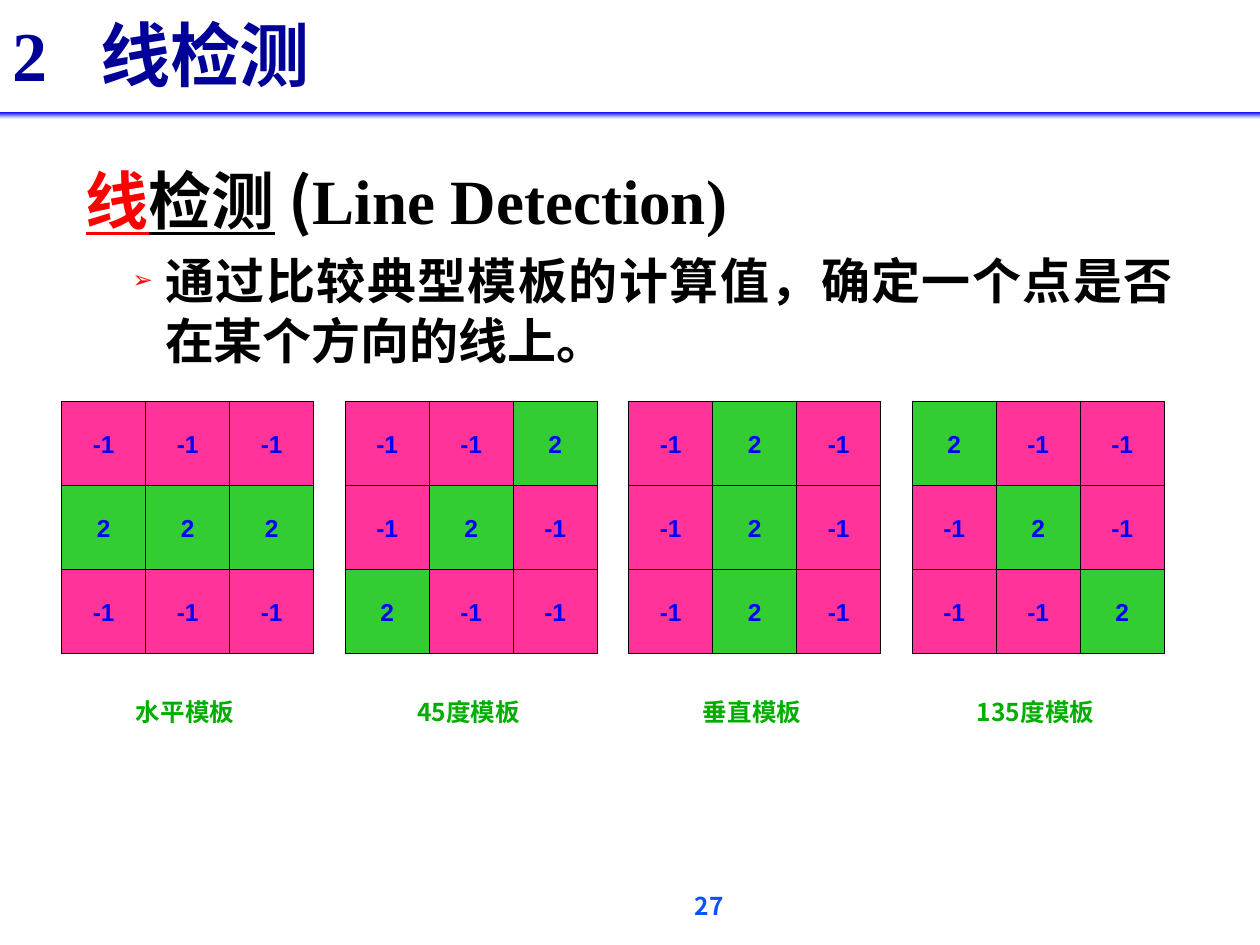
from copy import deepcopy
from dataclasses import dataclass

from lxml.etree import SubElement
from pptx import Presentation
from pptx.dml.color import RGBColor
from pptx.enum.shapes import MSO_SHAPE
from pptx.enum.text import MSO_ANCHOR, MSO_AUTO_SIZE, PP_ALIGN
from pptx.oxml.ns import qn
from pptx.util import Pt


@dataclass(frozen=True)
class Theme:
    navy: str = "000099"
    black: str = "000000"
    red: str = "FF0000"
    bullet: str = "FF0C0C"
    blue: str = "0000FF"
    page_blue: str = "0B52FC"
    pink: str = "FF3399"
    green: str = "33CC33"
    caption_green: str = "00AE00"
    rule_stops: tuple = ((0, "0000FF"), (0.89, "CCD6FF"), (1, "E6EBFF"))
    title_size: int = 40
    heading_size: int = 36
    body_size: int = 28
    label_size: int = 14
    cjk: str = "Noto Sans CJK SC"
    serif: str = "Times New Roman"
    sans: str = "Arial"


THEME = Theme()

CELL = 48
GRID_LEFT, GRID_TOP, GRID_PITCH = 35.28, 229.5, 162
CAPTION_TOP, CAPTION_WIDTH, CAPTION_HEIGHT = 395, 110, 36
CAPTION_CENTER = 70.5

# Each mask: caption and the (row, column) cells that hold the weight 2
MASKS = [
    ("水平模板", {(1, column) for column in range(3)}),
    ("45度模板", {(row, 2 - row) for row in range(3)}),
    ("垂直模板", {(row, 1) for row in range(3)}),
    ("135度模板", {(row, row) for row in range(3)}),
]


def add_text(paragraph, text, size=THEME.label_size, color=THEME.black,
             face=THEME.cjk, underline=False):
    """Append a bold run, with the face used for Latin and CJK letters alike."""
    run = paragraph.add_run()
    run.text = text
    font = run.font
    font.size, font.bold, font.underline = Pt(size), True, underline
    font.color.rgb = RGBColor.from_string(color)
    font.name = face
    SubElement(run._r.get_or_add_rPr(), qn("a:ea"), typeface=face)


def place(shape, left, top, width, height):
    shape.left, shape.top = Pt(left), Pt(top)
    shape.width, shape.height = Pt(width), Pt(height)
    shape.text_frame.auto_size = MSO_AUTO_SIZE.NONE


def set_indent(paragraph, left, first_line, bullet=None):
    properties = paragraph._p.get_or_add_pPr()
    properties.set("marL", str(Pt(left)))
    properties.set("indent", str(Pt(first_line)))
    if bullet is None:
        SubElement(properties, qn("a:buNone"))
        return
    color = SubElement(properties, qn("a:buClr"))
    SubElement(color, qn("a:srgbClr"), val=THEME.bullet)
    SubElement(properties, qn("a:buSzPct"), val="50000")
    SubElement(properties, qn("a:buFont"), typeface=THEME.sans)
    SubElement(properties, qn("a:buChar"), char=bullet)


def fill_title(title):
    place(title, 0, 5, 720, 50.4)
    frame = title.text_frame
    frame.vertical_anchor = MSO_ANCHOR.BOTTOM
    frame.margin_bottom = Pt(0.5)
    paragraph = frame.paragraphs[0]
    paragraph.alignment = PP_ALIGN.LEFT
    paragraph.line_spacing = Pt(44)
    tabs = SubElement(paragraph._p.get_or_add_pPr(), qn("a:tabLst"))
    SubElement(tabs, qn("a:tab"), pos=str(Pt(50)), algn="l")
    add_text(paragraph, "2\t", size=THEME.title_size, color=THEME.navy,
             face=THEME.serif)
    add_text(paragraph, "线检测", size=THEME.title_size, color=THEME.navy)


def fill_body(body):
    place(body, 41.76, 85.68, 635.76, 131.76)
    frame = body.text_frame
    heading, point = frame.paragraphs[0], frame.add_paragraph()

    set_indent(heading, 18, -18)
    heading.space_before = Pt(0)
    heading.line_spacing = Pt(46)
    size = THEME.heading_size
    add_text(heading, "线", size=size, color=THEME.red, underline=True)
    add_text(heading, "检测", size=size, underline=True)
    add_text(heading, " (", size=size)
    add_text(heading, "Line Detection)", size=size, face=THEME.serif)

    point.level = 1
    set_indent(point, 45.36, -18.72, bullet="➢")
    point.space_before = Pt(7.5)
    point.line_spacing = Pt(34)
    add_text(point, "通过比较典型模板的计算值，确定一个点是否在某个方向的线上。",
             size=THEME.body_size)
    for paragraph in (heading, point):
        paragraph.alignment = PP_ALIGN.JUSTIFY


def add_title_rule(shapes):
    rule = shapes.add_shape(MSO_SHAPE.RECTANGLE, 0, Pt(64), Pt(720), Pt(3.6))
    rule.shadow.inherit = False
    rule.line.fill.background()
    rule.fill.gradient()
    rule.fill.gradient_angle = 270
    stop_list = rule._element.spPr.find(".//" + qn("a:gsLst"))
    stop_list.append(deepcopy(stop_list[-1]))
    for stop, (position, color) in zip(rule.fill.gradient_stops,
                                       THEME.rule_stops):
        stop.position = position
        stop.color.rgb = RGBColor.from_string(color)


def add_label(shapes, text, left, top, width, height, wrap=False,
              line_spacing=1.0, **text_format):
    label = shapes.add_textbox(Pt(left), Pt(top), Pt(width), Pt(height))
    label.text_frame.word_wrap = wrap
    paragraph = label.text_frame.paragraphs[0]
    paragraph.alignment = PP_ALIGN.CENTER
    paragraph.line_spacing = line_spacing
    add_text(paragraph, text, **text_format)


def add_cell(shapes, weight, left, top):
    cell = shapes.add_shape(MSO_SHAPE.RECTANGLE, Pt(left), Pt(top),
                            Pt(CELL), Pt(CELL))
    cell.shadow.inherit = False
    cell.fill.solid()
    cell.fill.fore_color.rgb = RGBColor.from_string(
        THEME.green if weight > 0 else THEME.pink)
    cell.line.color.rgb = RGBColor.from_string(THEME.black)
    cell.line.width = Pt(0.75)
    frame = cell.text_frame
    frame.word_wrap = False
    frame.vertical_anchor = MSO_ANCHOR.MIDDLE
    paragraph = frame.paragraphs[0]
    paragraph.alignment = PP_ALIGN.CENTER
    add_text(paragraph, str(weight), color=THEME.blue, face=THEME.sans)


def add_mask(shapes, caption, line_cells, left):
    """Add a grouped 3 by 3 mask with its caption below."""
    members = shapes.add_group_shape().shapes
    for row in range(3):
        for column in range(3):
            weight = 2 if (row, column) in line_cells else -1
            add_cell(members, weight, left + column * CELL,
                     GRID_TOP + row * CELL)
    add_label(members, caption, left + CAPTION_CENTER - CAPTION_WIDTH / 2,
              CAPTION_TOP, CAPTION_WIDTH, CAPTION_HEIGHT,
              color=THEME.caption_green)


def main():
    deck = Presentation()
    deck.slide_width, deck.slide_height = Pt(720), Pt(540)
    slide = deck.slides.add_slide(deck.slide_layouts[1])
    shapes = slide.shapes
    fill_title(shapes.title)
    fill_body(slide.placeholders[1])
    add_title_rule(shapes)
    for index, (caption, line_cells) in enumerate(MASKS):
        add_mask(shapes, caption, line_cells, GRID_LEFT + index * GRID_PITCH)
    add_label(shapes, "27", 223.2, 509, 364.32, 21.6, wrap=True,
              line_spacing=0.8, color=THEME.page_blue)
    deck.save("out.pptx")


if __name__ == "__main__":
    main()
